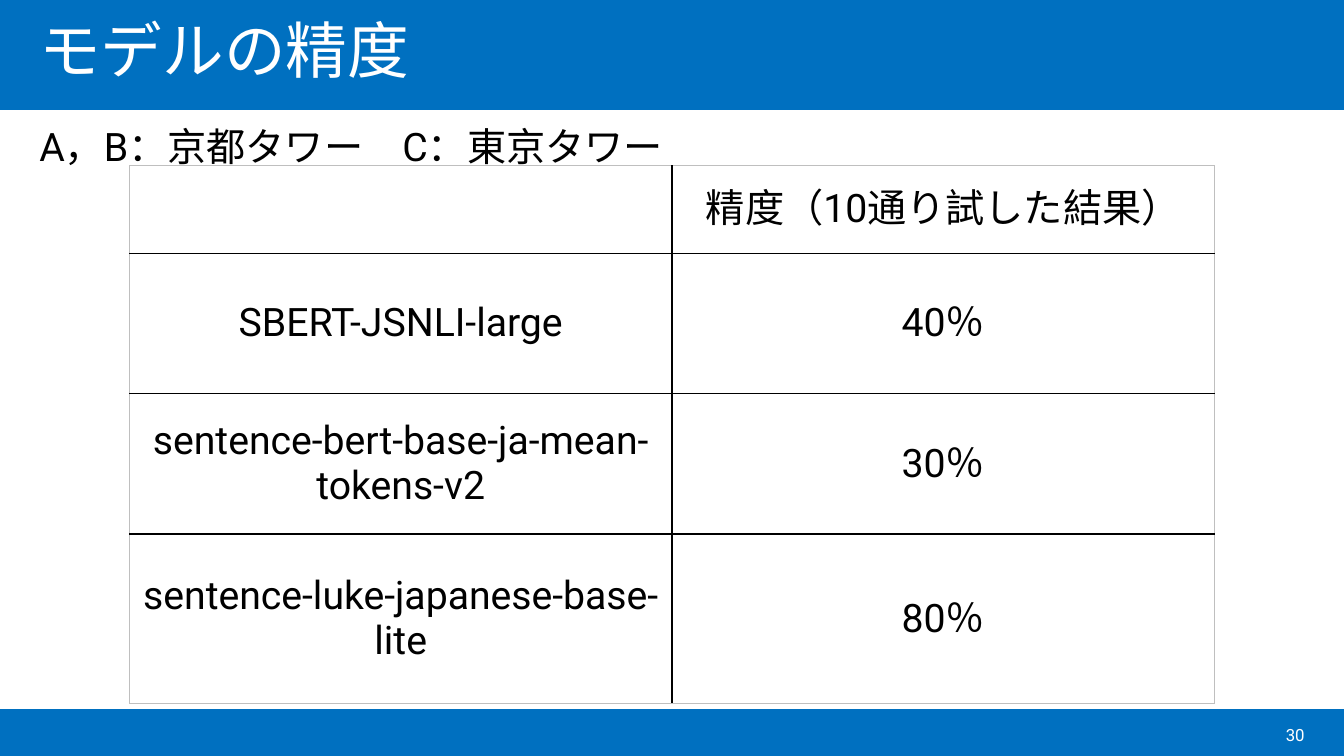
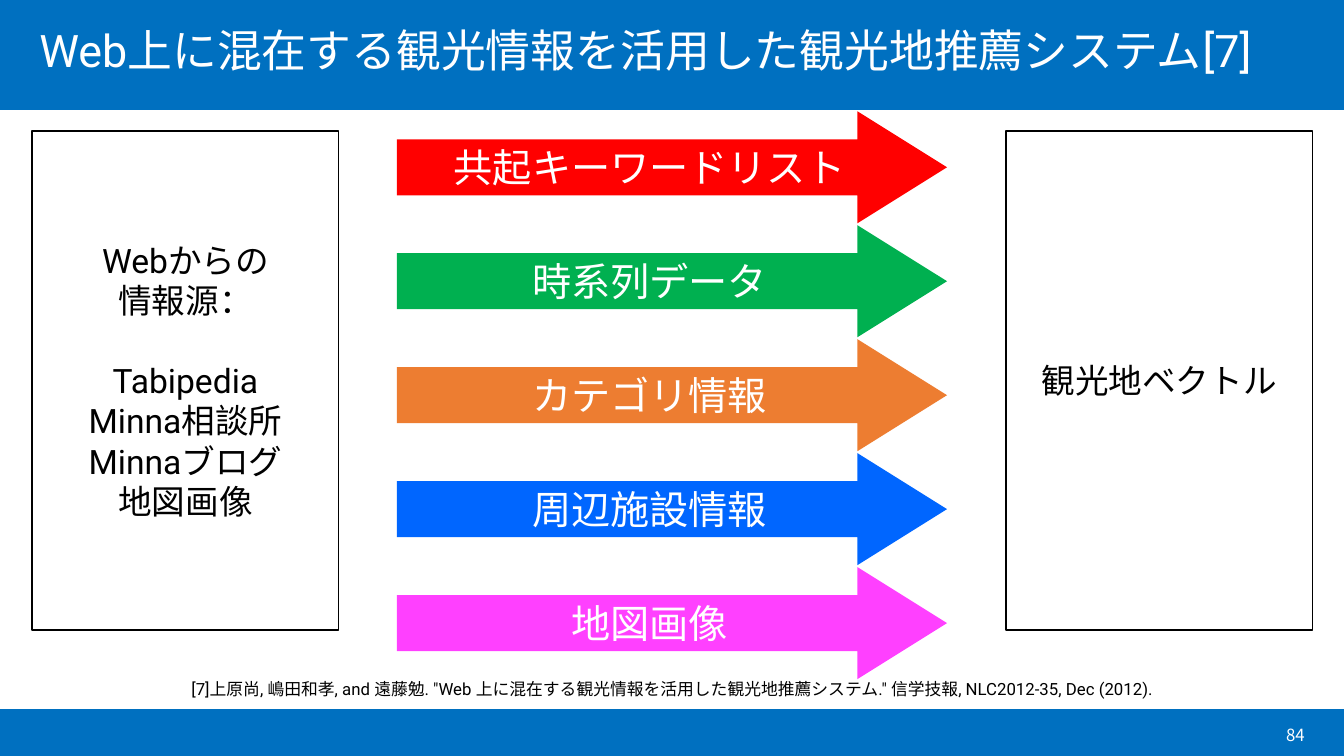
"""Build two slides: a model accuracy table and a sightseeing recommendation diagram."""
from dataclasses import dataclass

from lxml import etree
from pptx import Presentation
from pptx.dml.color import RGBColor
from pptx.enum.shapes import MSO_SHAPE
from pptx.enum.text import MSO_ANCHOR, PP_ALIGN
from pptx.oxml.ns import qn
from pptx.util import Pt

RECT, ARROW = MSO_SHAPE.RECTANGLE, MSO_SHAPE.RIGHT_ARROW
TOP, MIDDLE = MSO_ANCHOR.TOP, MSO_ANCHOR.MIDDLE
LEFT, CENTER, RIGHT = PP_ALIGN.LEFT, PP_ALIGN.CENTER, PP_ALIGN.RIGHT


@dataclass(frozen=True)
class Theme:
    band: str = "0070C0"
    white: str = "FFFFFF"
    black: str = "000000"
    frame: str = "BFBFBF"
    red: str = "FF0000"
    green: str = "00B050"
    orange: str = "ED7D31"
    blue: str = "0066FF"
    pink: str = "FF40FF"
    font: str = "Roboto"
    cjk_font: str = "Noto Sans CJK JP"
    title: int = 44
    long_title: int = 32
    body: int = 28
    box: int = 24
    small: int = 12


T = Theme()


def write(tf, lines, size, color=T.black, align=CENTER, anchor=MIDDLE, font=T.font):
    """Fill a text frame with one paragraph per line."""
    tf.word_wrap = True
    tf.vertical_anchor = anchor
    for i, line in enumerate(lines):
        p = tf.paragraphs[0] if i == 0 else tf.add_paragraph()
        p.alignment = align
        r = p.add_run()
        r.text = line
        r.font.size = Pt(size)
        r.font.color.rgb = RGBColor.from_string(color)
        r.font.name = font
        etree.SubElement(r._r.get_or_add_rPr(), qn("a:ea"), typeface=font)


def add_block(s, kind, x, y, w, h, fill, line=None):
    """Add a flat filled shape, outlined when a line colour is given."""
    sp = s.shapes.add_shape(kind, Pt(x), Pt(y), Pt(w), Pt(h))
    sp.shadow.inherit = False
    sp.fill.solid()
    sp.fill.fore_color.rgb = RGBColor.from_string(fill)
    if line:
        sp.line.color.rgb = RGBColor.from_string(line)
        sp.line.width = Pt(1)
    else:
        sp.line.fill.background()
    return sp


prs = Presentation()
prs.slide_width, prs.slide_height = Pt(960), Pt(540)

slides = []
for title, size, number, number_font in (
    ("モデルの精度", T.title, "30", T.font),
    ("Web上に混在する観光情報を活用した観光地推薦システム[7]", T.long_title, "84", T.cjk_font),
):
    s = prs.slides.add_slide(prs.slide_layouts[6])
    for y, h in ((506.5, 33.5), (0, 78.5)):
        add_block(s, RECT, 0, y, 960, h, T.band)
    tf = s.shapes.add_textbox(Pt(21), Pt(4), Pt(918), Pt(68)).text_frame
    write(tf, [title], size, T.white, LEFT)
    tf.paragraphs[0].line_spacing = 0.9
    tf = s.shapes.add_textbox(Pt(723), Pt(510), Pt(216), Pt(29)).text_frame
    write(tf, [number], T.small, T.white, RIGHT, font=number_font)
    slides.append(s)

accuracy, system = slides

tf = accuracy.shapes.add_textbox(Pt(21), Pt(84), Pt(918), Pt(40)).text_frame
write(tf, ["A，B：京都タワー　C：東京タワー"], T.body, align=LEFT, anchor=TOP)

rows = (
    (62.5, "", "精度（10通り試した結果）"),
    (100, "SBERT-JSNLI-large", "40％"),
    (100.5, "sentence-bert-base-ja-mean-tokens-v2", "30％"),
    (121, "sentence-luke-japanese-base-lite", "80％"),
)
table = accuracy.shapes.add_table(len(rows), 2, Pt(92.5), Pt(118.5), Pt(775), Pt(384)).table
table.first_row = table.horz_banding = False
for i, (height, *texts) in enumerate(rows):
    table.rows[i].height = Pt(height)
    for j, text in enumerate(texts):
        cell = table.cell(i, j)
        cell.vertical_anchor = MIDDLE
        if text:
            write(cell.text_frame, [text], T.body)
            cell.vertical_anchor = MIDDLE
        tcPr = cell._tc.get_or_add_tcPr()
        for tag, outer in (("lnL", j == 0), ("lnR", j == 1), ("lnT", i == 0), ("lnB", i == len(rows) - 1)):
            ln = etree.SubElement(tcPr, qn("a:" + tag), w=str(Pt(0.75 if outer else 1)))
            fill = etree.SubElement(ln, qn("a:solidFill"))
            etree.SubElement(fill, qn("a:srgbClr"), val=T.frame if outer else T.black)
        cell.fill.solid()
        cell.fill.fore_color.rgb = RGBColor.from_string(T.white)

sources = ["Webからの", "情報源：", "Tabipedia", "Minna相談所", "Minnaブログ", "地図画像"]
for x, lines in ((23, sources), (718.5, ["観光地ベクトル"])):
    sp = add_block(system, RECT, x, 93.5, 219, 356.5, T.white, T.black)
    write(sp.text_frame, lines, T.box)
    if lines is sources:
        sp.text_frame.paragraphs[2].space_before = Pt(28.5)

arrows = (
    ("共起キーワードリスト", T.red),
    ("時系列データ", T.green),
    ("カテゴリ情報", T.orange),
    ("周辺施設情報", T.blue),
    ("地図画像", T.pink),
)
for i, (text, color) in enumerate(arrows):
    sp = add_block(system, ARROW, 283.5, 79.5 + 81.4 * i, 393, 80, color)
    sp.adjustments[0], sp.adjustments[1] = 0.5, 0.8
    write(sp.text_frame, [text], T.body, T.white)

tf = system.shapes.add_textbox(Pt(12.5), Pt(481), Pt(935), Pt(22)).text_frame
write(
    tf,
    [
        '[7]上原尚, 嶋田和孝, and 遠藤勉. "Web 上に混在する観光情報を活用した'
        '観光地推薦システム." 信学技報, NLC2012-35, Dec (2012).'
    ],
    T.small,
    anchor=TOP,
)

prs.save("out.pptx")
